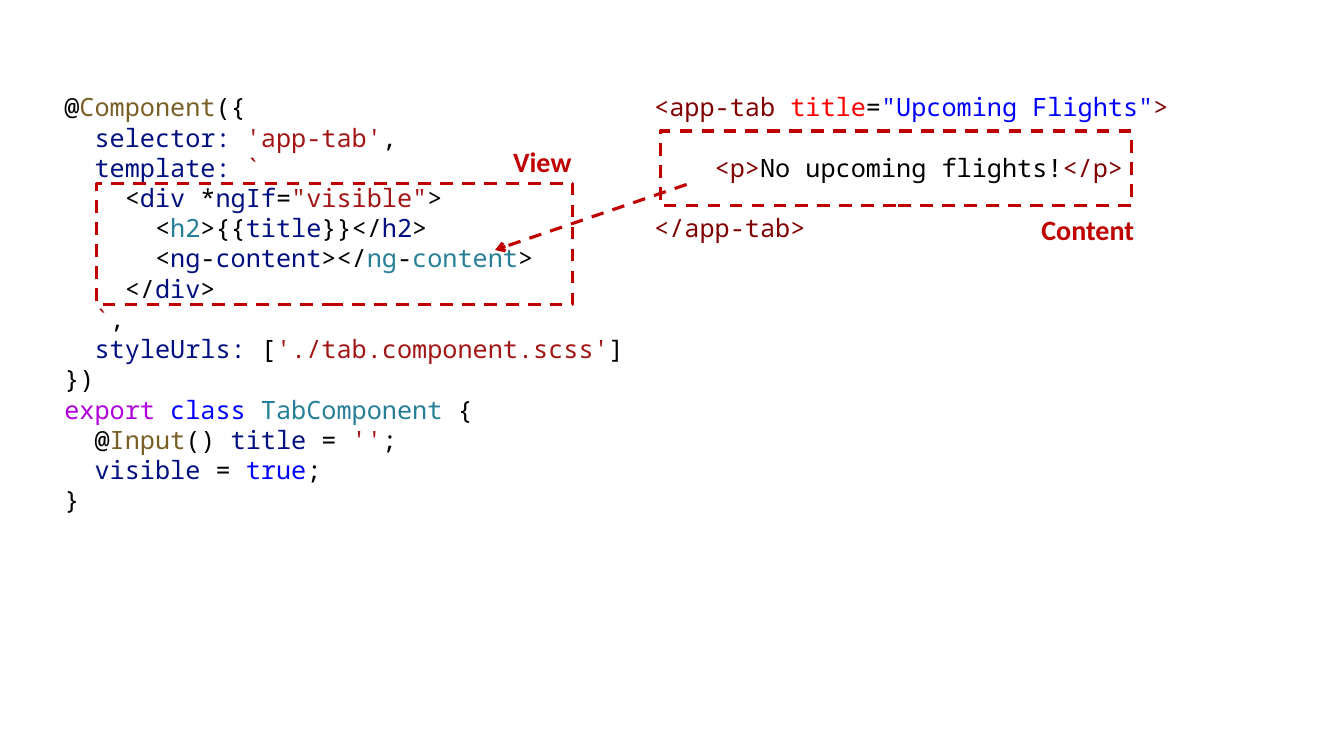
from lxml import etree
from pptx import Presentation
from pptx.dml.color import RGBColor
from pptx.enum.dml import MSO_LINE
from pptx.enum.shapes import MSO_CONNECTOR, MSO_SHAPE
from pptx.oxml.ns import qn
from pptx.util import Inches, Pt

DASH = MSO_LINE.DASH
RECTANGLE = MSO_SHAPE.RECTANGLE
STRAIGHT = MSO_CONNECTOR.STRAIGHT

THEME = {
    "plain": "000000",
    "decorator": "795E26",
    "name": "001080",
    "string": "A31515",
    "type": "267F99",
    "control": "AF00DB",
    "keyword": "0000FF",
    "tag": "800000",
    "attribute": "FF0000",
    "accent": "C00000",
    "code_font": "Noto Sans Mono",
    "label_font": "Calibri",
    "code_size": 18,
    "label_size": 20,
    "code_line": 21.6,
    "outline": 2.25,
}
INDENT = 0.3

component_code = [
    (0, [("@", "plain"), ("Component", "decorator"), ("({", "plain")]),
    (1, [("selector: ", "name"), ("'app-tab'", "string"), (",", "plain")]),
    (1, [("template: ", "name"), ("`", "string")]),
    (2, [("<", "plain"), ("div", "name"), (" *", "plain"), ("ngIf", "name"),
         ("=", "plain"), ('"visible"', "string"), (">", "plain")]),
    (3, [("<", "plain"), ("h2", "type"), (">{{", "plain"), ("title", "name"),
         ("}}</", "plain"), ("h2", "name"), (">", "plain")]),
    (3, [("<", "plain"), ("ng", "name"), ("-", "plain"), ("content", "name"),
         ("></", "plain"), ("ng", "type"), ("-", "plain"), ("content", "type"),
         (">", "plain")]),
    (2, [("</", "plain"), ("div", "name"), (">", "plain")]),
    (1, [("`", "string"), (",", "plain")]),
    (1, [("styleUrls:", "name"), (" [", "plain"),
         ("'./tab.component.scss'", "string"), ("]", "plain")]),
    (0, [("})", "plain")]),
    (0, [("export ", "control"), ("class ", "keyword"),
         ("TabComponent", "type"), (" {", "plain")]),
    (1, [("@", "plain"), ("Input", "decorator"), ("() ", "plain"),
         ("title", "name"), (" = ", "plain"), ("''", "string"), (";", "plain")]),
    (1, [("visible", "name"), (" = ", "plain"), ("true", "keyword"), (";", "plain")]),
    (0, [("}", "plain")]),
]
usage_code = [
    (0, [("<app-tab ", "tag"), ("title", "attribute"), ("=", "plain"),
         ('"Upcoming Flights"', "keyword"), (">", "tag")]),
    (2, [("<p>", "tag"), ("No upcoming flights!", "plain"), ("</p>", "tag")]),
    (0, [("</app-tab>", "tag")]),
]

presentation = Presentation()
presentation.slide_width = Inches(13.33)
presentation.slide_height = Inches(7.5)
slide = presentation.slides.add_slide(presentation.slide_layouts[6])


def add_text(lines, *, box, font, size, bold=False, line_height=None, gap=0):
    shape = slide.shapes.add_textbox(*map(Inches, box))
    frame = shape.text_frame
    frame.word_wrap = True
    for index, (level, tokens) in enumerate(lines):
        paragraph = frame.add_paragraph() if index else frame.paragraphs[0]
        paragraph._p.get_or_add_pPr().set("marL", str(Inches(level * INDENT)))
        if line_height:
            paragraph.line_spacing = Pt(line_height)
        if index:
            paragraph.space_before = Pt(gap)
        for text, color in tokens:
            run = paragraph.add_run()
            run.text = text
            run.font.name = font
            run.font.size = Pt(size)
            run.font.bold = bold
            run.font.color.rgb = RGBColor.from_string(THEME[color])


def style_outline(line):
    line.color.rgb = RGBColor.from_string(THEME["accent"])
    line.width = Pt(THEME["outline"])
    line.dash_style = DASH


for code, left, height, gap in [
    (component_code, 0.54, 4.34, 0),
    (usage_code, 6.39, 1.62, THEME["code_line"]),
]:
    add_text(code, box=(left, 0.86, 6.66, height), font=THEME["code_font"],
             size=THEME["code_size"], line_height=THEME["code_line"], gap=gap)

content_frame = (6.55, 1.3, 4.67, 0.74)
view_frame = (0.96, 1.82, 4.72, 1.2)
for box in (content_frame, view_frame):
    frame_shape = slide.shapes.add_shape(RECTANGLE, *map(Inches, box))
    frame_shape.shadow.inherit = False
    frame_shape.fill.background()
    style_outline(frame_shape.line)

projection_arrow = slide.shapes.add_connector(
    STRAIGHT, Inches(6.81), Inches(1.83), Inches(4.91), Inches(2.48))
style_outline(projection_arrow.line)
etree.SubElement(projection_arrow.line._get_or_add_ln(), qn("a:tailEnd"), type="arrow")
etree.SubElement(projection_arrow._element.spPr, qn("a:effectLst"))

for label, left, top in [("View", 4.99, 1.38), ("Content", 10.23, 2.06)]:
    add_text([(0, [(label, "accent")])], box=(left, top, 2.22, 0.44),
             font=THEME["label_font"], size=THEME["label_size"], bold=True)

presentation.save("out.pptx")
